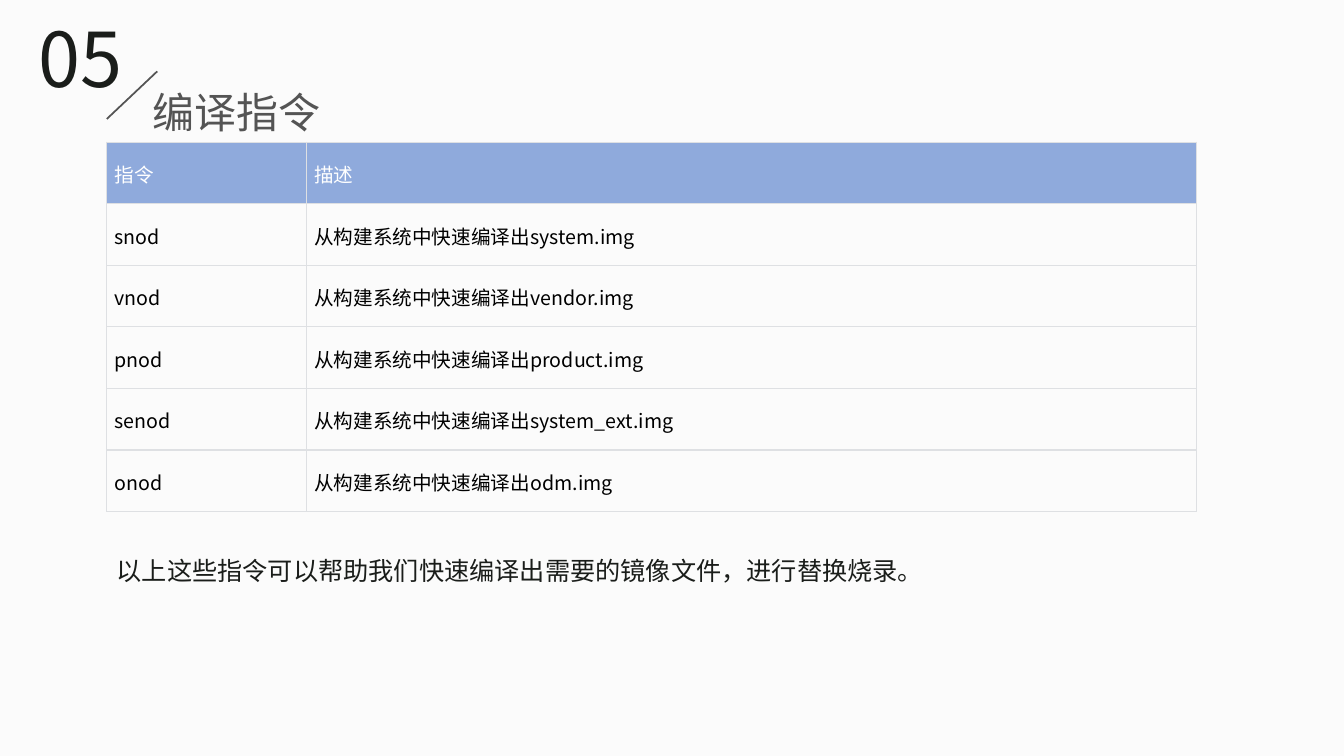
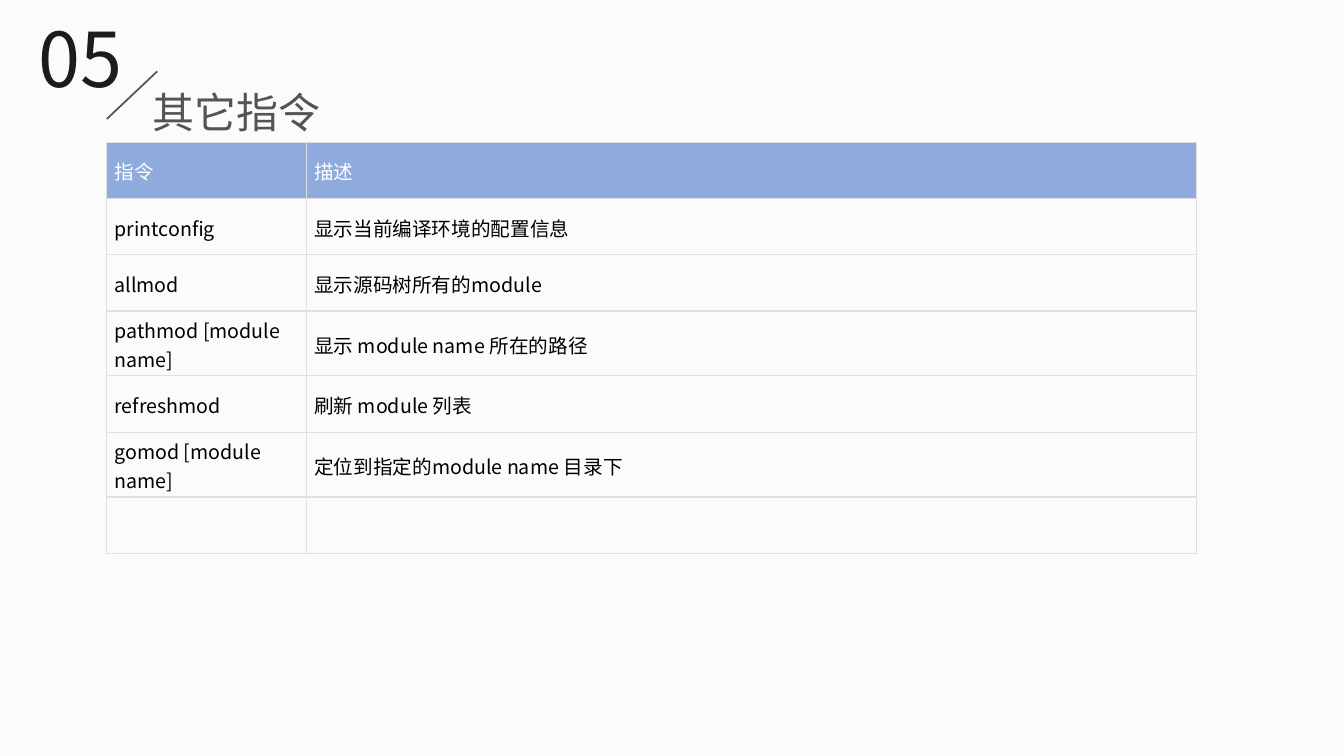
import lxml.etree
import pptx
import pptx.dml.color
import pptx.enum.shapes
import pptx.enum.text
import pptx.oxml.ns
import pptx.util

Pt = pptx.util.Pt
RGB = pptx.dml.color.RGBColor
ALIGN = pptx.enum.text.PP_ALIGN
qn = pptx.oxml.ns.qn

PAPER = RGB(0xFB, 0xFB, 0xFB)
INK = RGB(0x1A, 0x1D, 0x1A)
GREY = RGB(0x54, 0x54, 0x54)
BLUE = RGB(0x8F, 0xAA, 0xDC)
RULE = RGB(0xDE, 0xE0, 0xE3)
WHITE = RGB(0xFF, 0xFF, 0xFF)
BLACK = RGB(0x00, 0x00, 0x00)
FONT = "Noto Sans CJK SC"

LEFT = 76.3
TOP = 101.5
COLS = (142.6, 635.8)
HEAD = ("指令", "描述")
BUILD = "从构建系统中快速编译出"
IMAGES = (
    ("snod", "system"),
    ("vnod", "vendor"),
    ("pnod", "product"),
    ("senod", "system_ext"),
    ("onod", "odm"),
)
OTHERS = (
    ("printconfig", "显示当前编译环境的配置信息"),
    ("allmod", "显示源码树所有的module"),
    ("pathmod [module name]", "显示 module name 所在的路径"),
    ("refreshmod", "刷新 module 列表"),
    ("gomod [module name]", "定位到指定的module name 目录下"),
    ("", ""),
)
LOW, TALL = 40.2, 46.4


class Deck:
    """Holds the shared style and the current slide."""

    def __init__(self):
        self.file = pptx.Presentation()
        self.file.slide_width = Pt(960)
        self.file.slide_height = Pt(540)
        self.slide = None

    def page(self, num, title):
        self.slide = self.file.slides.add_slide(self.file.slide_layouts[6])
        fill = self.slide.background.fill
        fill.solid()
        fill.fore_color.rgb = PAPER
        self.text(num, (20.2, 5, 82, 73), 54, INK, align=ALIGN.JUSTIFY)
        self.line((112.3, 51), (LEFT, 85))
        self.text(title, (102.2, 51, 753, 51), 30, GREY, space=1.2)

    def run(self, para, words, size, color):
        run = para.add_run()
        run.text = words
        font = run.font
        font.size = Pt(size)
        font.bold = False
        font.name = FONT
        font.color.rgb = color
        east = lxml.etree.SubElement(run._r.get_or_add_rPr(), qn("a:ea"))
        east.set("typeface", FONT)

    def text(self, words, box, size, color, space=None, align=None):
        frame = self.slide.shapes.add_textbox(*map(Pt, box)).text_frame
        frame.word_wrap = True
        para = frame.paragraphs[0]
        para.line_spacing = space
        para.alignment = align
        self.run(para, words, size, color)

    def line(self, start, end):
        kind = pptx.enum.shapes.MSO_CONNECTOR.STRAIGHT
        line = self.slide.shapes.add_connector(kind, *map(Pt, start + end))
        line.line.color.rgb = GREY
        line.line.width = Pt(1.25)
        lxml.etree.SubElement(line._element.spPr, qn("a:effectLst"))

    def table(self, rows, heights):
        shape = self.slide.shapes.add_table(
            len(rows), len(COLS), Pt(LEFT), Pt(TOP), Pt(sum(COLS)), Pt(sum(heights))
        )
        table = shape.table
        table.first_row = False
        table.horz_banding = False
        for col, width in zip(table.columns, COLS):
            col.width = Pt(width)
        for row, (height, words) in enumerate(zip(heights, rows)):
            table.rows[row].height = Pt(height)
            for col, word in enumerate(words):
                self.cell(table.cell(row, col), word, row == 0)

    def cell(self, cell, word, head):
        self.edge(cell)
        cell.margin_left = cell.margin_right = Pt(5.5)
        cell.margin_top = Pt(2.9)
        cell.margin_bottom = Pt(1.4)
        cell.vertical_anchor = pptx.enum.text.MSO_ANCHOR.MIDDLE
        if head:
            cell.fill.solid()
            cell.fill.fore_color.rgb = BLUE
        else:
            cell.fill.background()
        if word:
            para = cell.text_frame.paragraphs[0]
            self.run(para, word, 14, WHITE if head else BLACK)

    def edge(self, cell):
        props = cell._tc.get_or_add_tcPr()
        for side in "LRTB":
            line = lxml.etree.SubElement(props, qn("a:ln" + side), w=str(Pt(1)))
            fill = lxml.etree.SubElement(line, qn("a:solidFill"))
            lxml.etree.SubElement(fill, qn("a:srgbClr"), val=str(RULE))


def main():
    deck = Deck()

    deck.page("05", "编译指令")
    rows = [HEAD] + [(name, f"{BUILD}{image}.img") for name, image in IMAGES]
    deck.table(rows, [44] * len(rows))
    note = "以上这些指令可以帮助我们快速编译出需要的镜像文件，进行替换烧录。"
    deck.text(note, (LEFT, 389, 778, 34), 18, INK, space=1.2)

    deck.page("05", "其它指令")
    rows = [HEAD, *OTHERS]
    deck.table(rows, [TALL if "[" in name else LOW for name, _ in rows])

    deck.file.save("out.pptx")


if __name__ == "__main__":
    main()
